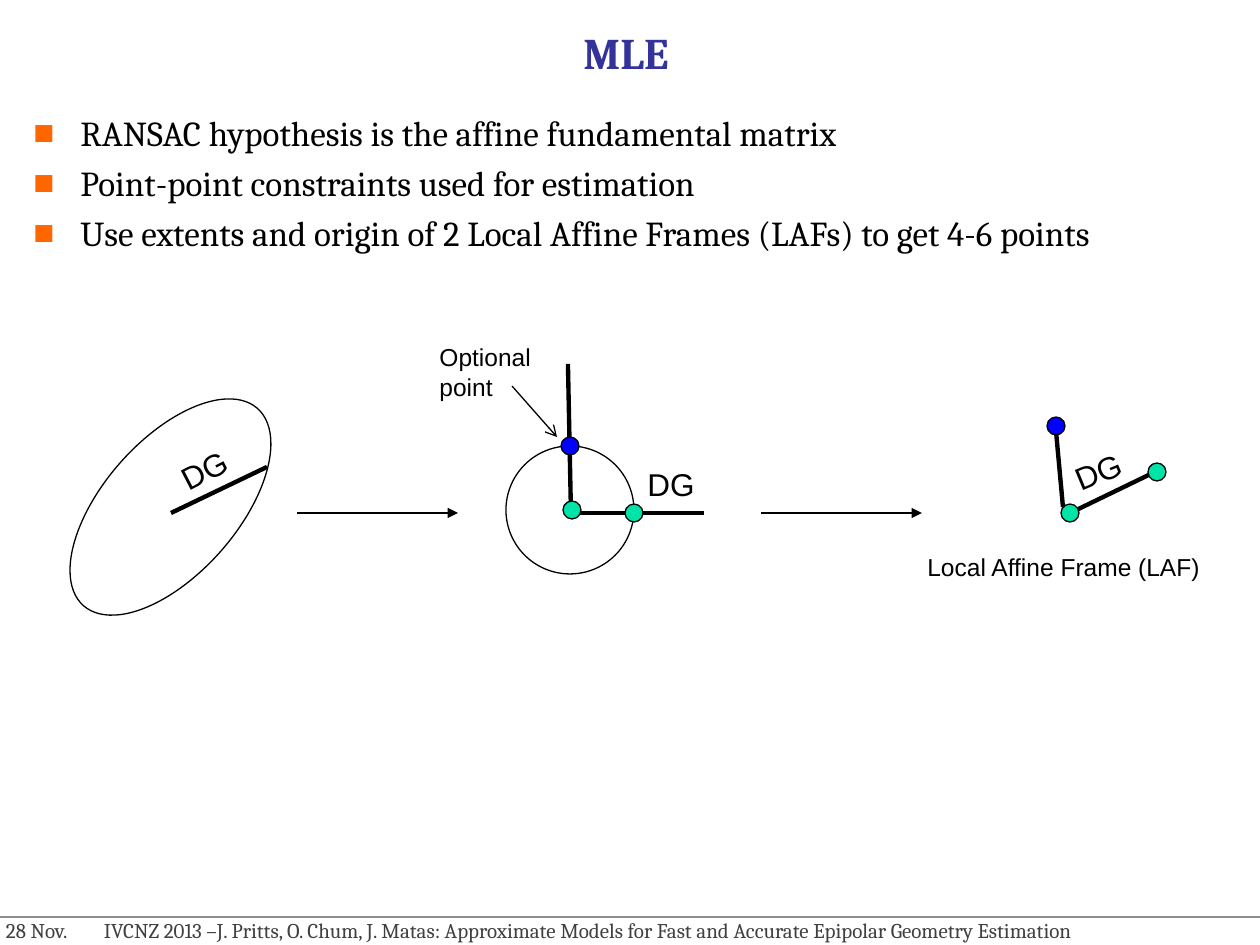
from lxml.etree import SubElement
from pptx import Presentation
from pptx.dml.color import RGBColor
from pptx.enum.shapes import MSO_CONNECTOR as CONN, MSO_SHAPE as SHAPE
from pptx.enum.text import MSO_ANCHOR as ANCHOR, PP_ALIGN as ALIGN
from pptx.oxml.ns import qn
from pptx.util import Pt

PX = 914400 // 126
COLORS = {"black": "000000", "title": "333399", "bullet": "FF6600", "footer": "404040",
          "rule": "8E8E8E", "blue": "0000FF", "green": "00E4A8"}


def rgb(name):
    """Return the named colour."""
    return RGBColor.from_string(COLORS[name])


def add_text(s, x, y, w, h, lines, size, font="Arial", color="black", wrap=False, rot=0):
    """Add a text box with one paragraph per line and return its frame."""
    sp = s.shapes.add_textbox(x * PX, y * PX, w * PX, h * PX)
    sp.rotation = rot
    tf = sp.text_frame
    tf.word_wrap = wrap
    tf.text = "\n".join(lines)
    for p in tf.paragraphs:
        p.font.size, p.font.name = Pt(size), font
        p.font.color.rgb = rgb(color)
    return tf


def add_line(s, x1, y1, x2, y2, width=2.5, color="black", head=None):
    """Add a straight line, with an arrowhead at its end if one is named."""
    cx = s.shapes.add_connector(CONN.STRAIGHT, x1 * PX, y1 * PX, x2 * PX, y2 * PX)
    cx.line.width = Pt(width)
    cx.line.color.rgb = rgb(color)
    if head:
        SubElement(cx.line._get_or_add_ln(), qn("a:tailEnd"), type=head)
    SubElement(cx._element.spPr, qn("a:effectLst"))


def add_ellipse(s, x, y, w, h, fill=None, rot=0):
    """Add a thinly outlined ellipse."""
    sp = s.shapes.add_shape(SHAPE.OVAL, x * PX, y * PX, w * PX, h * PX)
    sp.shadow.inherit = False
    sp.rotation = rot
    sp.line.width = Pt(0.75)
    sp.line.color.rgb = rgb("black")
    if fill:
        sp.fill.solid()
        sp.fill.fore_color.rgb = rgb(fill)
    else:
        sp.fill.background()


def add_dot(s, cx, cy, fill):
    """Add a point marker centred on the given place."""
    add_ellipse(s, cx - 9, cy - 9, 18, 18, fill)


def add_dg(s, x, y, rot=0):
    """Add a DG label."""
    add_text(s, x, y, 82, 58, ["DG"], 18, rot=rot)


def add_title(s, x, y, w, h):
    """Place the slide title."""
    tf = add_text(s, x, y, w, h, ["MLE"], 25, "Cambria", "title", True)
    tf.vertical_anchor = ANCHOR.BOTTOM
    p = tf.paragraphs[0]
    p.alignment = ALIGN.CENTER
    p.font.bold = True


def add_bullets(s, x, y, w, h, lines):
    """Place the square-bulleted list."""
    tf = add_text(s, x, y, w, h, lines, 20, "Cambria", wrap=True)
    for i, p in enumerate(tf.paragraphs):
        if i:
            p.space_before = Pt(4.6)
        pPr = p._p.get_or_add_pPr()
        pPr.set("marL", str(47 * PX))
        pPr.set("indent", str(-47 * PX))
        bullet = pPr.makeelement(qn("a:buClr"), {})
        SubElement(bullet, qn("a:srgbClr"), val=COLORS["bullet"])
        font = pPr.makeelement(qn("a:buFont"), {"typeface": "Arial"})
        char = pPr.makeelement(qn("a:buChar"), {"char": "■"})
        for el in (bullet, font, char):
            pPr.find(qn("a:defRPr")).addprevious(el)


def add_footer(s, x, y, w, h, date, talk):
    """Place the rule with the date and the talk below it."""
    add_line(s, x, y + 6, x + w, y + 6, 0.75, "rule")
    tf = add_text(s, x, y, w, h, [f"{date}\t{talk}"], 12, "Cambria", "footer")
    tf.margin_left = 6 * PX
    pPr = tf.paragraphs[0]._p.get_or_add_pPr()
    tabs = pPr.makeelement(qn("a:tabLst"), {})
    SubElement(tabs, qn("a:tab"), pos=str(98 * PX), algn="l")
    pPr.find(qn("a:defRPr")).addprevious(tabs)


def add_region(s, x, y):
    """Draw the elliptical region with its dominant gradient."""
    add_ellipse(s, x, y + 50, 263, 134, rot=311.4)
    add_line(s, x + 132, y + 123, x + 228, y + 77)
    add_dg(s, x + 130, y + 52, 332.5)


def add_normalized(s, x, y):
    """Draw the normalized circle with its axes and points."""
    add_ellipse(s, x + 79, y + 110, 128, 128)
    add_line(s, x + 141, y + 28, x + 144, y + 177)
    add_line(s, x + 277, y + 177, x + 146, y + 177)
    for cx, cy, fill in ((143, 110, "blue"), (207, 177, "green"), (145, 174, "green")):
        add_dot(s, x + cx, y + cy, fill)
    add_dg(s, x + 208, y + 123)
    add_text(s, x, y, 117, 72, ["Optional", "point"], 14)
    add_line(s, x + 85, y + 50, x + 130, y + 101, 0.75, head="arrow")


def add_frame(s, x, y):
    """Draw the local affine frame with its caption."""
    add_line(s, x + 148, y + 91, x + 140, y + 4)
    add_line(s, x + 147, y + 101, x + 242, y + 55)
    for cx, cy, fill in ((141, 10, "blue"), (242, 56, "green"), (155, 97, "green")):
        add_dot(s, x + cx, y + cy, fill)
    add_dg(s, x + 148, y + 28, 337.5)
    add_text(s, x, y + 130, 338, 48, ["Local Affine Frame (LAF)"], 14)


def main():
    """Build and save the slide."""
    prs = Presentation()
    prs.slide_width, prs.slide_height = 1260 * PX, 945 * PX
    s = prs.slides.add_slide(prs.slide_layouts[6])
    add_footer(s, 0, 911, 1260, 38, "28 Nov.",
               "IVCNZ 2013 –J. Pritts, O. Chum, J. Matas: Approximate Models "
               "for Fast and Accurate Epipolar Geometry Estimation")
    add_title(s, 160, 21, 932, 63)
    add_bullets(s, 21, 105, 1218, 805, [
        "RANSAC hypothesis is the affine fundamental matrix",
        "Point-point constraints used for estimation",
        "Use extents and origin of 2 Local Affine Frames (LAFs) to get 4-6 points"])
    add_region(s, 39, 390)
    add_normalized(s, 427, 336)
    add_frame(s, 915, 416)
    for x in (297, 761):
        add_line(s, x, 513, x + 161, 513, 0.75, head="triangle")
    prs.save("out.pptx")


if __name__ == "__main__":
    main()
